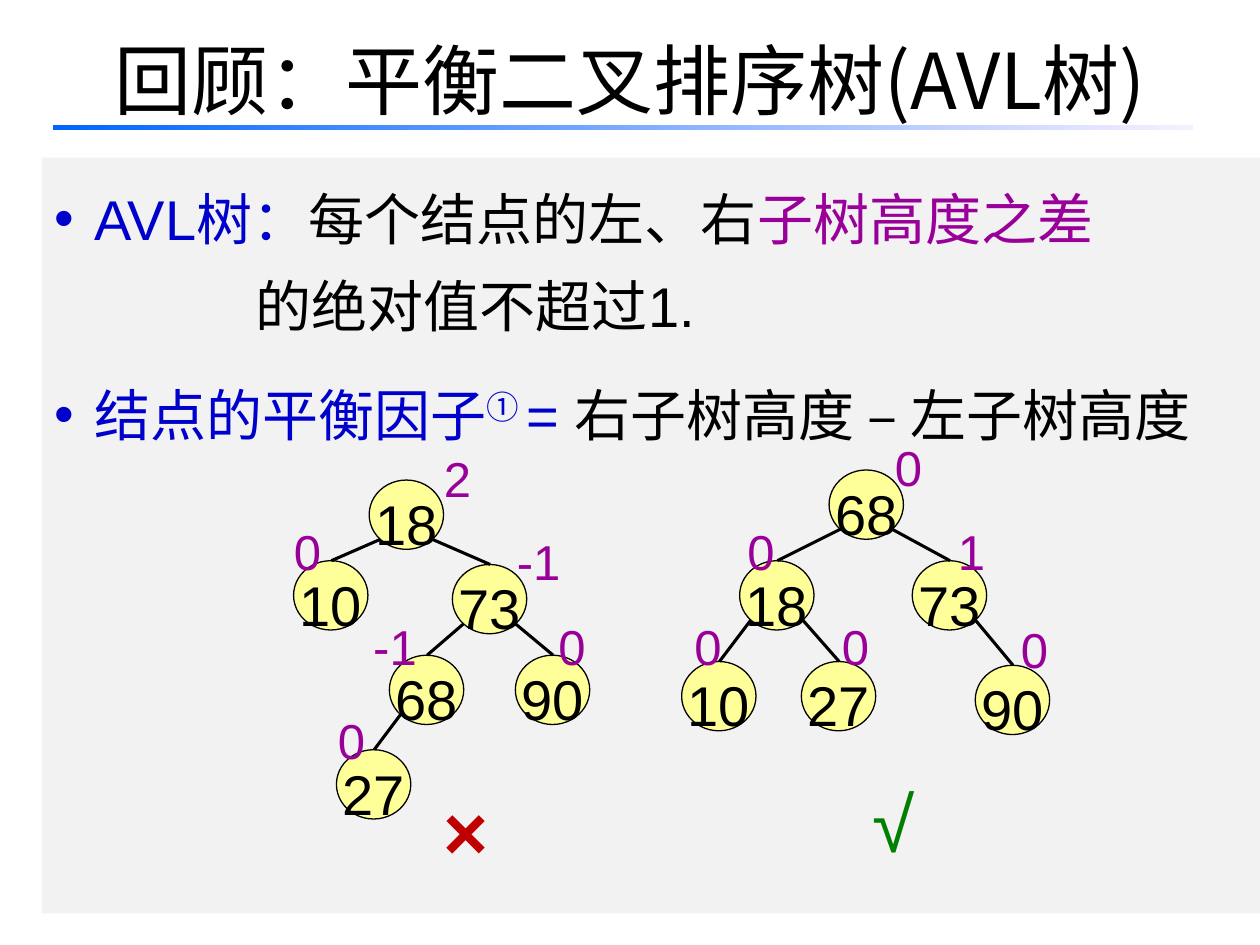
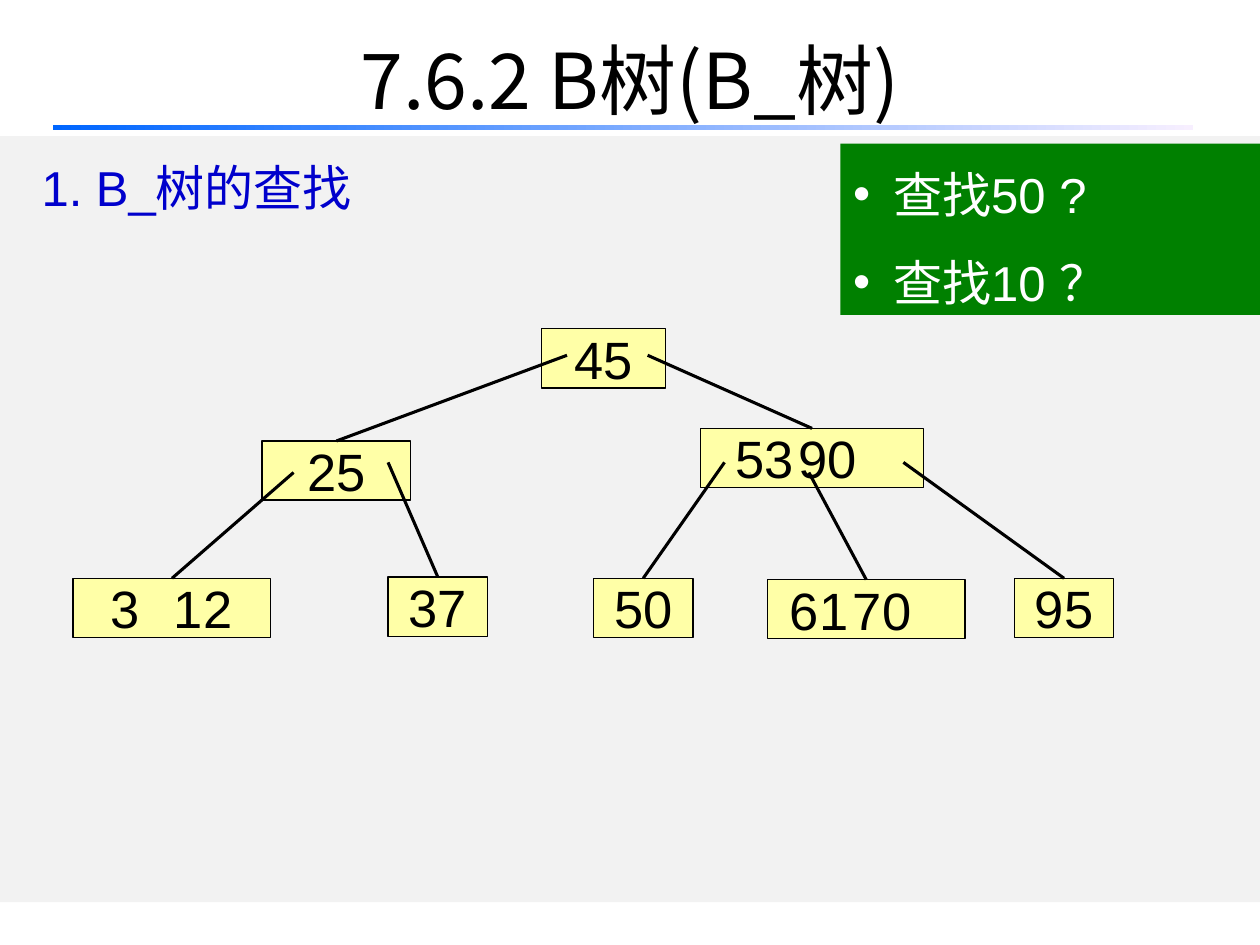
"""Build two slides on balanced binary trees and B-trees."""
from lxml import etree
from pptx import Presentation
from pptx.dml.color import RGBColor
from pptx.enum import shapes, text
from pptx.oxml.ns import qn
from pptx.util import Inches, Pt

HUES = {
    "black": "000000", "white": "FFFFFF", "blue": "0000CC", "plum": "990099",
    "red": "C00000", "green": "008000", "panel": "F2F2F2", "node": "FFFF99",
    "page": "FFFFA7", "start": "0066FF", "end": "F7EFFF",
}
CJK = "Noto Sans CJK SC"
LEFT, MID = text.PP_ALIGN.LEFT, text.PP_ALIGN.CENTER
TOP, CORE = text.MSO_ANCHOR.TOP, text.MSO_ANCHOR.MIDDLE
FIXED, GROW = text.MSO_AUTO_SIZE.NONE, text.MSO_AUTO_SIZE.SHAPE_TO_FIT_TEXT


def write(shape, lines, size, hue="black", font="Arial", align=MID, anchor=CORE, space=1.0,
          gap=0, wrap=True, fit=FIXED, bold=False, hangs=(), inset=0.1, tab=None):
    """Fill a shape with lines, each a string or a list of (text, hue, raise) runs."""
    frame = shape.text_frame
    frame.word_wrap, frame.auto_size, frame.vertical_anchor = wrap, fit, anchor
    frame.margin_left = Inches(inset)
    for i, line in enumerate(lines):
        para = frame.paragraphs[0] if i == 0 else frame.add_paragraph()
        para.alignment, para.line_spacing = align, space
        step, dot = hangs[i] if hangs else (0, False)
        para.space_before = Pt(gap if i and dot else 0)
        props = para._p.get_or_add_pPr()
        props.set("marL", str(Inches(step)))
        props.set("indent", str(Inches(-step if dot else 0)))
        if dot:
            etree.SubElement(props, qn("a:buFont"), typeface="Arial")
            etree.SubElement(props, qn("a:buChar"), char="•")
        else:
            etree.SubElement(props, qn("a:buNone"))
        if tab:
            stops = etree.SubElement(props, qn("a:tabLst"))
            etree.SubElement(stops, qn("a:tab"), pos=str(Inches(tab)), algn="l")
        for words, tint, lift in [(line, hue, 0)] if isinstance(line, str) else line:
            run = para.add_run()
            run.text = words
            run.font.size, run.font.name, run.font.bold = Pt(size), font, bold
            run.font.color.rgb = RGBColor.from_string(HUES[tint])
            style = run._r.get_or_add_rPr()
            if lift:
                style.set("baseline", str(lift * 1000))
            etree.SubElement(style, qn("a:ea"), typeface=CJK)


def draw(slide, kind, box, fill=None):
    """Add a shape, a text box (kind None), or a connector (kind "line") at box."""
    spots = [Inches(n) for n in box]
    if kind is None:
        return slide.shapes.add_textbox(*spots)
    if kind == "line":
        link = slide.shapes.add_connector(shapes.MSO_CONNECTOR.STRAIGHT, *spots)
        link.line.width = Pt(1.75)
        link.line.color.rgb = RGBColor.from_string(HUES["black"])
        etree.SubElement(link._element.spPr, qn("a:effectLst"))
        return link
    shape = slide.shapes.add_shape(kind, *spots)
    shape.shadow.inherit = False
    if fill:
        shape.fill.solid()
        shape.fill.fore_color.rgb = RGBColor.from_string(HUES[fill])
        shape.line.color.rgb = RGBColor.from_string(HUES["black"])
        shape.line.width = Pt(0.75)
    return shape


RECT, OVAL = shapes.MSO_SHAPE.RECTANGLE, shapes.MSO_SHAPE.OVAL
deck = Presentation()
deck.slide_width, deck.slide_height = Inches(10), Inches(7.5)

hang = (0.32, True)
rules = [
    [("AVL树：", "blue", 0), ("每个结点的左、右", "black", 0), ("子树高度之差", "plum", 0)],
    "的绝对值不超过1.",
    [("结点的平衡因子", "blue", 0), ("① ", "blue", 30), ("= ", "blue", 0),
     ("右子树高度 – 左子树高度", "black", 0)],
]
plans = [
    ("回顾：平衡二叉排序树(AVL树)", 1, [
        ((0.33, 1.25, 9.67, 6), "panel", rules,
         dict(size=32, space=Pt(50), gap=12, hangs=[hang, (1.6, False), hang]))]),
    ("7.6.2 B树(B_树)", 3, [
        ((0, 1.08, 10, 6.08), "panel", ["1. B_树的查找"],
         dict(size=28, hue="blue", space=Pt(42), hangs=[(0.23, False)])),
        ((6.67, 1.14, 3.33, 1.36), "green", ["查找50 ?", "查找10 ？"],
         dict(size=28, hue="white", space=Pt(42), gap=8, hangs=[hang, hang]))]),
]
for title, layout, lists in plans:
    slide = deck.slides.add_slide(deck.slide_layouts[layout])
    head, *bodies = list(slide.placeholders)[:1 + len(lists)]
    jobs = [(head, (0.5, 0, 9, 1.25), None, [title], dict(size=44, font=CJK))]
    for body, (box, fill, lines, form) in zip(bodies, lists):
        jobs.append((body, box, fill, lines, dict(align=LEFT, anchor=TOP, **form)))
    for holder, box, fill, lines, form in jobs:
        holder.left, holder.top, holder.width, holder.height = [Inches(n) for n in box]
        if fill:
            holder.fill.solid()
            holder.fill.fore_color.rgb = RGBColor.from_string(HUES[fill])
        write(holder, lines, **form)
    band = draw(slide, RECT, (0.42, 0.99, 9.05, 0.04))
    band.line.fill.background()
    band.fill.gradient()
    band.fill.gradient_angle = 0
    for stop, hue, place in zip(band.fill.gradient_stops, ("start", "end"), (0, 1)):
        stop.color.rgb = RGBColor.from_string(HUES[hue])
        stop.position = place

avl, btree = deck.slides

# value, left, top, parent value, factor, factor left, factor top
trees = [
    [(18, 2.93, 3.81, None, "2", 3.42, 3.42), (10, 2.33, 4.45, 18, "0", 2.23, 4),
     (73, 3.59, 4.48, 18, "-1", 4, 4.08), (68, 3.09, 5.2, 73, "-1", 2.86, 4.75),
     (90, 4.09, 5.2, 73, "0", 4.33, 4.75), (27, 2.67, 5.95, 68, "0", 2.58, 5.5)],
    [(68, 6.58, 3.73, None, "0", 7, 3.33), (18, 5.87, 4.45, 68, "0", 5.83, 4),
     (73, 7.24, 4.45, 68, "1", 7.5, 4), (10, 5.41, 5.25, 18, "0", 5.41, 4.75),
     (27, 6.36, 5.25, 18, "0", 6.58, 4.75), (90, 7.74, 5.28, 73, "0", 8, 4.78)],
]
for tree in trees:
    spots = {value: (x, y) for value, x, y, *_ in tree}
    for value, x, y, up, *_ in tree:
        node = draw(avl, OVAL, (x, y, 0.59, 0.55), "node")
        write(node, [str(value)], 32, space=1.25, wrap=False)
        if up:
            px, py = spots[up]
            draw(avl, "line", (px + (0.09 if x < px else 0.5), py + 0.47, x + 0.3, y))
    for *_, factor, x, y in tree:
        label = draw(avl, None, (x, y, 0.42 if len(factor) == 1 else 0.55, 0.63))
        write(label, [factor], 28, "plum", space=1.25, wrap=False, fit=GROW)

for mark, hue, box, bold in [("×", "red", (3.42, 5.99, 0.82, 0.93), True),
                             ("√", "green", (6.83, 5.92, 0.54, 0.94), False)]:
    write(draw(avl, None, box), [mark], 44, hue, align=LEFT, anchor=TOP, space=1.25,
          wrap=False, fit=GROW, bold=bold)

# keys, left, top, width, start of the link from the parent, inset and tab of two keys
pages = [
    ("45", 4.3, 2.61, 0.98, None, None),
    ("25", 2.08, 3.5, 1.18, (4.5, 2.82), None),
    ("53\t90", 5.56, 3.4, 1.77, (5.14, 2.82), (0.28, 0.69)),
    ("3\t12", 0.58, 4.59, 1.57, (2.33, 3.75), (0.3, 0.58)),
    ("37", 3.08, 4.58, 0.79, (3.08, 3.67), None),
    ("50", 4.71, 4.59, 0.79, (5.75, 3.67), None),
    ("61\t70", 6.09, 4.6, 1.57, (6.42, 3.75), (0.18, 0.71)),
    ("95", 8.05, 4.59, 0.79, (7.17, 3.67), None),
]
for keys, x, y, wide, *_, pair in pages:
    inset, tab = pair or (0.1, None)
    write(draw(btree, RECT, (x, y, wide, 0.47), "page"), [keys], 30,
          align=LEFT if pair else MID, inset=inset, tab=tab)
for _, x, y, wide, hook, _ in pages:
    if hook:
        draw(btree, "line", (*hook, x + wide / 2, y))

deck.save("out.pptx")
